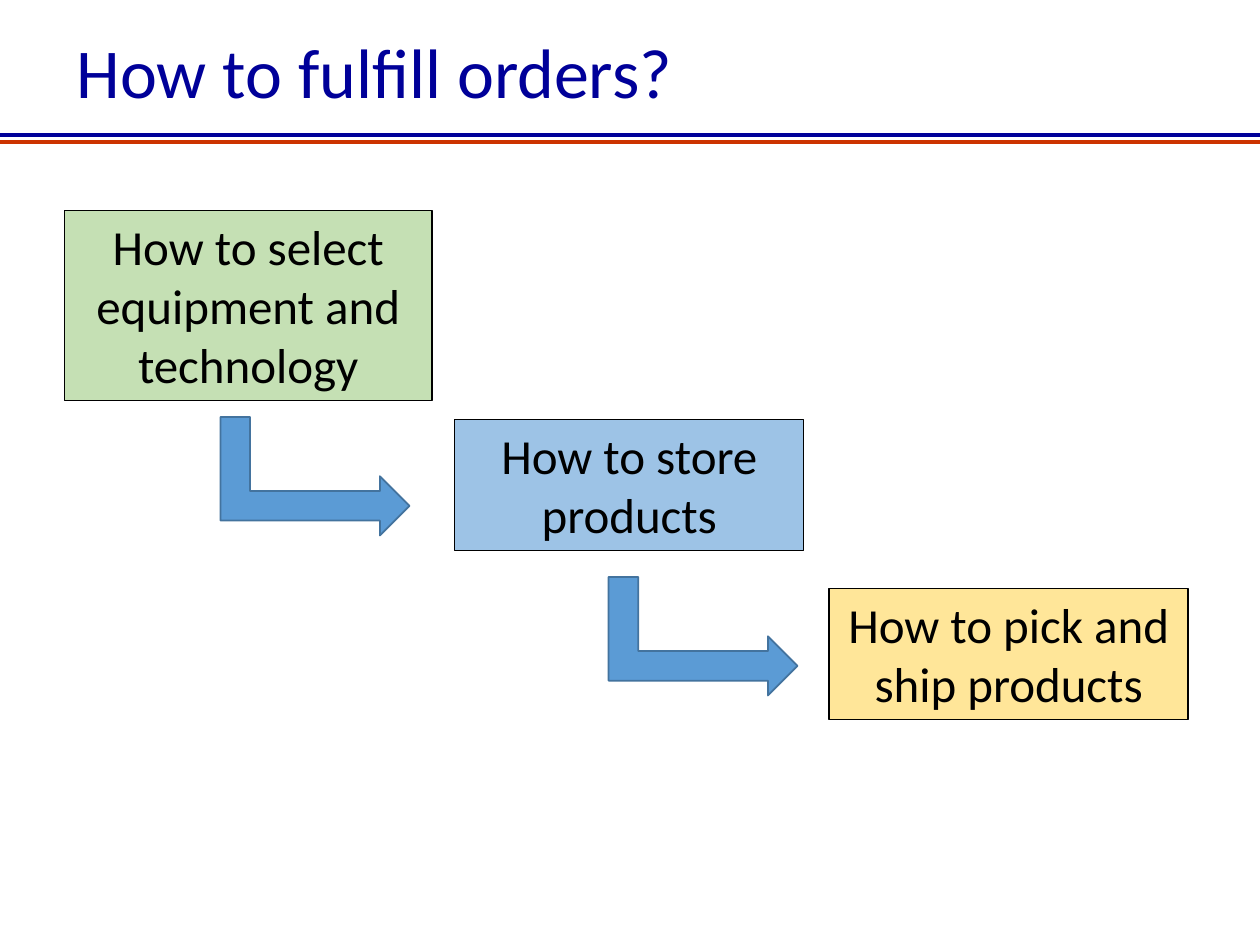
from pptx import Presentation
from pptx.dml.color import RGBColor
from pptx.enum.shapes import MSO_CONNECTOR, MSO_SHAPE
from pptx.enum.text import MSO_ANCHOR, MSO_AUTO_SIZE, PP_ALIGN
from pptx.oxml.ns import qn
from pptx.util import Inches, Pt
from lxml import etree

RECT, BENT = MSO_SHAPE.RECTANGLE, MSO_SHAPE.BENT_UP_ARROW
STRAIGHT = MSO_CONNECTOR.STRAIGHT
TOP, MIDDLE = MSO_ANCHOR.TOP, MSO_ANCHOR.MIDDLE
LEFT, CENTER = PP_ALIGN.LEFT, PP_ALIGN.CENTER
GROW, FIXED = MSO_AUTO_SIZE.SHAPE_TO_FIT_TEXT, MSO_AUTO_SIZE.NONE

THEME = {
    "font": "Calibri",
    "title": 40, "step": 28,
    "navy": "000099", "red": "CC3300", "black": "000000",
    "green": "C5E0B4", "sky": "9DC3E6", "gold": "FFE699",
    "blue": "5B9BD5", "edge": "43739E",
}

TITLE = "How to fulfill orders?"
RULES = [(1.07, "navy"), (1.13, "red")]
# text, fill, (left, top, width, height)
STEPS = [
    ("How to select equipment and technology", "green", (0.51, 1.67, 2.92, 1.51)),
    ("How to store products", "sky", (3.61, 3.33, 2.77, 1.04)),
    ("How to pick and ship products", "gold", (6.58, 4.67, 2.85, 1.04)),
]
ARROWS = [(2.03, 3.03), (5.11, 4.3)]
ARROW_SIZE = (0.94, 1.5)


def color(name):
    return RGBColor.from_string(THEME[name])


def place(*box):
    return [Inches(v) for v in box]


def style(para, size, ink, align):
    para.alignment = align
    font = para.font
    font.name, font.size = THEME["font"], Pt(THEME[size])
    font.color.rgb = color(ink)


def add_shape(slide, kind, box, fill, edge, width):
    shape = slide.shapes.add_shape(kind, *place(*box))
    shape.shadow.inherit = False
    shape.fill.solid()
    shape.fill.fore_color.rgb = color(fill)
    shape.line.color.rgb = color(edge)
    shape.line.width = Pt(width)
    return shape


def add_title(slide):
    title = slide.shapes.title
    title.left, title.top, title.width, title.height = place(0.51, 0.13, 8.98, 0.94)
    frame = title.text_frame
    frame.text = TITLE
    frame.auto_size = FIXED
    frame.vertical_anchor = MIDDLE
    para = frame.paragraphs[0]
    para.line_spacing = 0.9
    style(para, "title", "navy", LEFT)


def add_rule(slide, y, ink):
    rule = slide.shapes.add_connector(STRAIGHT, *place(0, y, 10, y))
    rule.line.color.rgb = color(ink)
    rule.line.width = Pt(2.25)
    etree.SubElement(rule._element.spPr, qn("a:effectLst"))


def add_step(slide, text, fill, box):
    frame = add_shape(slide, RECT, box, fill, "black", 0.75).text_frame
    frame.word_wrap = True
    frame.auto_size = GROW
    frame.vertical_anchor = TOP
    frame.text = text
    style(frame.paragraphs[0], "step", "black", CENTER)


def main():
    deck = Presentation()
    deck.slide_width, deck.slide_height = place(10, 7.5)
    slide = deck.slides.add_slide(deck.slide_layouts[5])
    for y, ink in RULES:
        add_rule(slide, y, ink)
    add_title(slide)
    for step in STEPS:
        add_step(slide, *step)
    for spot in ARROWS:
        arrow = add_shape(slide, BENT, spot + ARROW_SIZE, "blue", "edge", 1)
        arrow.rotation = 90
    deck.save("out.pptx")


if __name__ == "__main__":
    main()
